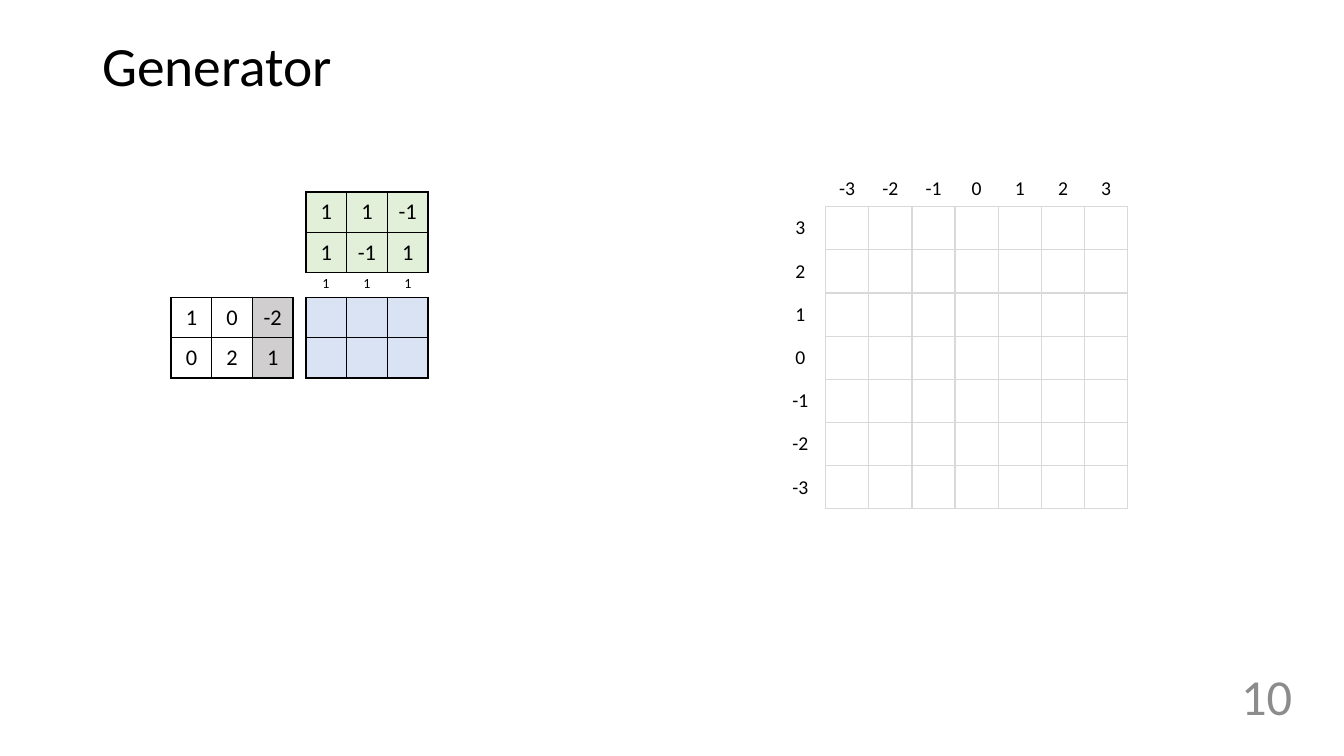
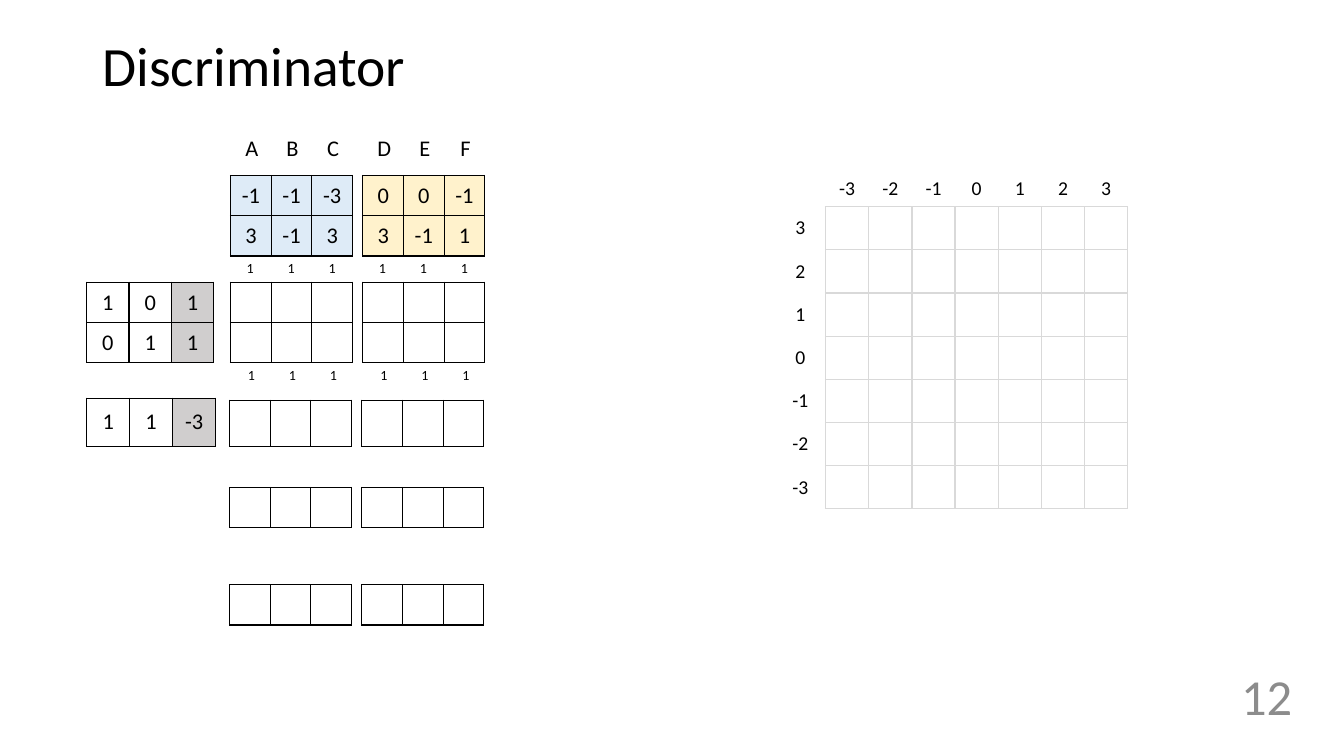
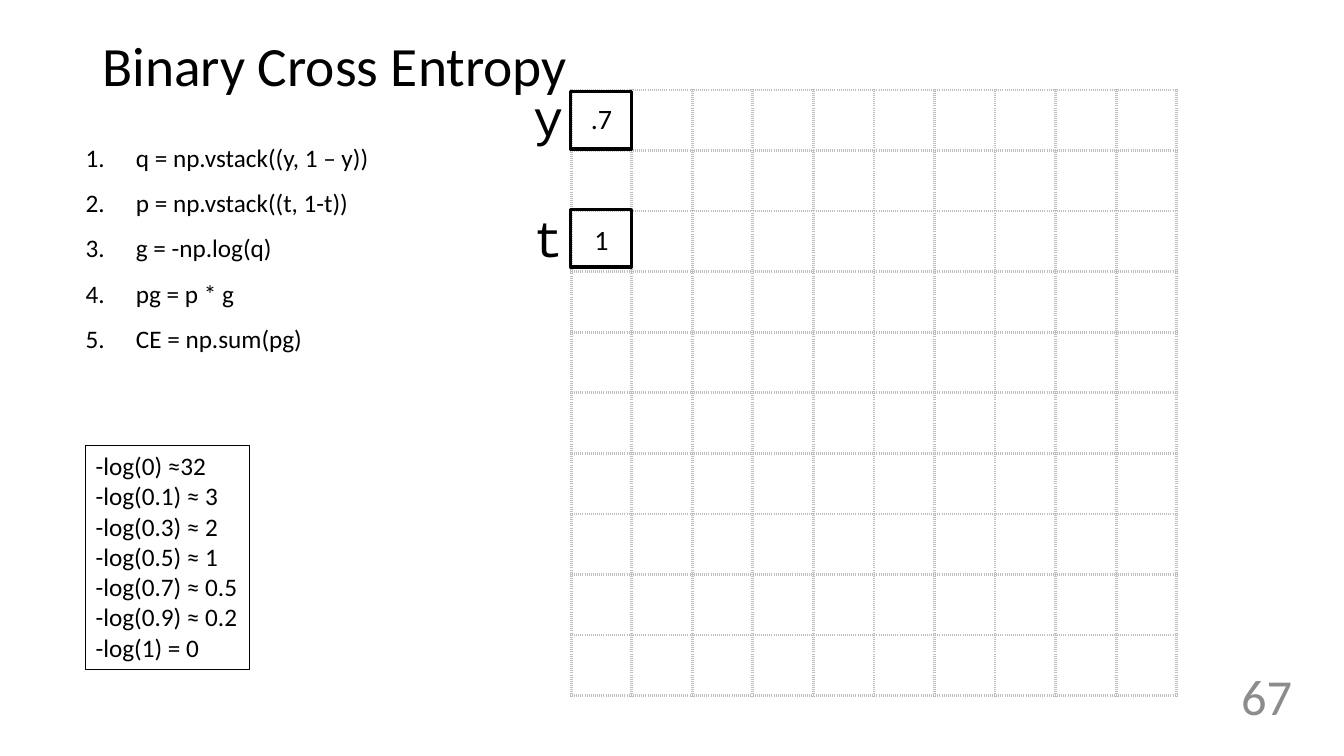
from lxml import etree
from pptx import Presentation
from pptx.dml.color import RGBColor
from pptx.enum.shapes import MSO_SHAPE
from pptx.enum.text import MSO_ANCHOR, PP_ALIGN
from pptx.oxml.ns import qn
from pptx.util import Pt

RECT = MSO_SHAPE.RECTANGLE
TOP, MIDDLE = MSO_ANCHOR.TOP, MSO_ANCHOR.MIDDLE
LEFT, CENTER, RIGHT = PP_ALIGN.LEFT, PP_ALIGN.CENTER, PP_ALIGN.RIGHT

BLACK = RGBColor(0x00, 0x00, 0x00)
GRAY = RGBColor(0x8C, 0x8C, 0x8C)
DOT = RGBColor(0xBF, 0xBF, 0xBF)
PALE = RGBColor(0xD9, 0xD9, 0xD9)
BIAS = RGBColor(0xD0, 0xCE, 0xCE)
GREEN = RGBColor(0xE2, 0xF0, 0xD9)
BLUE = RGBColor(0xDA, 0xE3, 0xF3)
SKY = RGBColor(0xDE, 0xEB, 0xF7)
CREAM = RGBColor(0xFF, 0xF2, 0xCC)
SANS, MONO = "Calibri", "Courier New"

CELL = 29.04          # column width of a matrix
ROW = 28.8            # row height of a matrix
UNIT = 216 / 7        # cell of the coordinate grid
WEIGHTS = [None, None, BIAS]
ONES = [["1"] * 3]
BLANK = [[""] * 3]


def add_text(slide, box, lines, size, font=SANS, color=BLACK,
             align=LEFT, anchor=TOP, wrap=True, space=None):
    shape = slide.shapes.add_textbox(*[Pt(v) for v in box])
    frame = shape.text_frame
    frame.text = "\n".join(lines)
    frame.word_wrap = wrap
    frame.vertical_anchor = anchor
    for para in frame.paragraphs:
        para.alignment = align
        para.line_spacing = space
        for run in para.runs:
            run.font.size = Pt(size)
            run.font.name = font
            run.font.color.rgb = color
    return shape


def add_grid(slide, left, top, wide, high, rows, size=16, line=BLACK, width=1,
             dash="solid", fills=(None,), pad=(6.5, 3), anchor=MIDDLE):
    """Draw a table of equal cells; fills repeat across the columns."""
    count = len(rows[0])
    table = slide.shapes.add_table(
        len(rows), count, Pt(left), Pt(top),
        Pt(wide * count), Pt(high * len(rows))).table
    table.first_row = table.horz_banding = False
    for col in table.columns:
        col.width = Pt(wide)
    for r, row in enumerate(rows):
        table.rows[r].height = Pt(high)
        for c, word in enumerate(row):
            cell = table.cell(r, c)
            cell.margin_left = cell.margin_right = Pt(pad[0])
            cell.margin_top = cell.margin_bottom = Pt(pad[1])
            cell.vertical_anchor = anchor
            props = cell._tc.get_or_add_tcPr()
            for side in ("a:lnL", "a:lnR", "a:lnT", "a:lnB"):
                edge = etree.SubElement(props, qn(side), w=str(Pt(width)))
                if line is None:
                    etree.SubElement(edge, qn("a:noFill"))
                    continue
                solid = etree.SubElement(edge, qn("a:solidFill"))
                etree.SubElement(solid, qn("a:srgbClr"), val=str(line))
                etree.SubElement(edge, qn("a:prstDash"), val=dash)
            fill = fills[c % len(fills)]
            if fill is None:
                cell.fill.background()
            else:
                cell.fill.solid()
                cell.fill.fore_color.rgb = fill
            if word:
                para = cell.text_frame.paragraphs[0]
                para.text = word
                para.alignment = CENTER
                font = para.runs[0].font
                font.size = Pt(size)
                font.name = SANS
                font.color.rgb = BLACK


prs = Presentation()
prs.slide_width, prs.slide_height = Pt(960), Pt(540)

# Title and slide number
slides = []
for title, number in (("Generator", "10"), ("Discriminator", "12"),
                      ("Binary Cross Entropy", "67")):
    slide = prs.slides.add_slide(prs.slide_layouts[6])
    add_text(slide, (66, 28.8, 828, 39.6), [title], 39.6,
             anchor=MIDDLE, space=0.9)
    add_text(slide, (840, 466, 90, 62), [number], 36, color=GRAY,
             align=RIGHT, anchor=MIDDLE)
    slides.append(slide)
gen, disc, loss = slides

# Coordinate grid with its two scales
scale = [str(n) for n in range(-3, 4)]
for slide in (gen, disc):
    add_grid(slide, 589.7, 147.6, UNIT, UNIT, [[""] * 7] * 7, line=PALE)
    add_grid(slide, 589.7, 122.4, UNIT, 24, [scale], 14, None,
             pad=(0, 3.6), anchor=TOP)
    add_grid(slide, 558.7, 147.6, 26, UNIT, [[n] for n in reversed(scale)],
             14, None, pad=(0, 3.6))

# Generator
add_grid(gen, 218.6, 137.2, CELL, ROW, [["1", "1", "-1"], ["1", "-1", "1"]],
         fills=[GREEN])
add_grid(gen, 122.2, 212.4, CELL, ROW, [["1", "0", "-2"], ["0", "2", "1"]],
         fills=WEIGHTS)
add_grid(gen, 218.6, 212.4, CELL, ROW, BLANK * 2, fills=[BLUE])
add_grid(gen, 218.2, 191.5, 29.3, 23, ONES, 10, None)

# Discriminator
add_grid(disc, 61.9, 201.6, 30.3, ROW, [["1", "0", "1"], ["0", "1", "1"]],
         fills=WEIGHTS)
add_grid(disc, 61.9, 284.4, 30.7, 34.4, [["1", "1", "-3"]], fills=WEIGHTS)
groups = (
    (164.7, "ABC", [["-1", "-1", "-3"], ["3", "-1", "3"]], SKY),
    (259.2, "DEF", [["0", "0", "-1"], ["3", "-1", "1"]], CREAM),
)
for left, names, points, tint in groups:
    add_grid(disc, left + 0.7, 93.6, CELL, 25.5, [list(names)], line=None)
    add_grid(disc, left, 125.3, CELL, ROW, points, fills=[tint])
    add_grid(disc, left, 201.6, CELL, ROW, BLANK * 2)
    for shift, top in ((-0.7, 180.7), (0.3, 257)):
        add_grid(disc, left + shift, top, 29.3, 23, ONES, 10, None)
    for top, high in ((285.8, 33.1), (348.2, ROW), (417.6, ROW)):
        add_grid(disc, left - 0.7, top, CELL, high, BLANK)

# Binary cross entropy
board = [[""] * 10 for _ in range(10)]
board[0][0], board[2][0] = ".7", "1"
add_grid(loss, 408, 64.3, 43.26, 43.26, board, 20, DOT, 2.25, "sysDot",
         pad=(7.2, 3.6))

steps = add_text(loss, (54, 87, 325.5, 168), [
    "q = np.vstack((y, 1 – y))", "p = np.vstack((t, 1-t))",
    "g = -np.log(q)", "pg = p * g", "CE = np.sum(pg)"], 18, space=1.5)
for para in steps.text_frame.paragraphs:
    props = para._p.get_or_add_pPr()
    props.set("marL", str(Pt(36)))
    props.set("indent", str(-Pt(36)))
    etree.SubElement(props, qn("a:buFont"), typeface="+mj-lt")
    etree.SubElement(props, qn("a:buAutoNum"), type="arabicPeriod")

logs = add_text(loss, (61.2, 318.2, 116.8, 159.8), [
    "-log(0) ≈32", "-log(0.1) ≈ 3", "-log(0.3) ≈ 2", "-log(0.5) ≈ 1",
    "-log(0.7) ≈ 0.5", "-log(0.9) ≈ 0.2", "-log(1) = 0"], 18, wrap=False)
logs.line.color.rgb = BLACK
logs.line.width = Pt(0.75)

for name, top, edge in (("y", 58.3, 65.5), ("t", 144.7, 149.8)):
    add_text(loss, (373.7, top, 34.6, 51), [name], 36, MONO, wrap=False)
    frame = loss.shapes.add_shape(RECT, Pt(407.5), Pt(edge), Pt(43.4), Pt(41))
    frame.shadow.inherit = False
    frame.fill.background()
    frame.line.color.rgb = BLACK
    frame.line.width = Pt(2.25)

prs.save("out.pptx")
